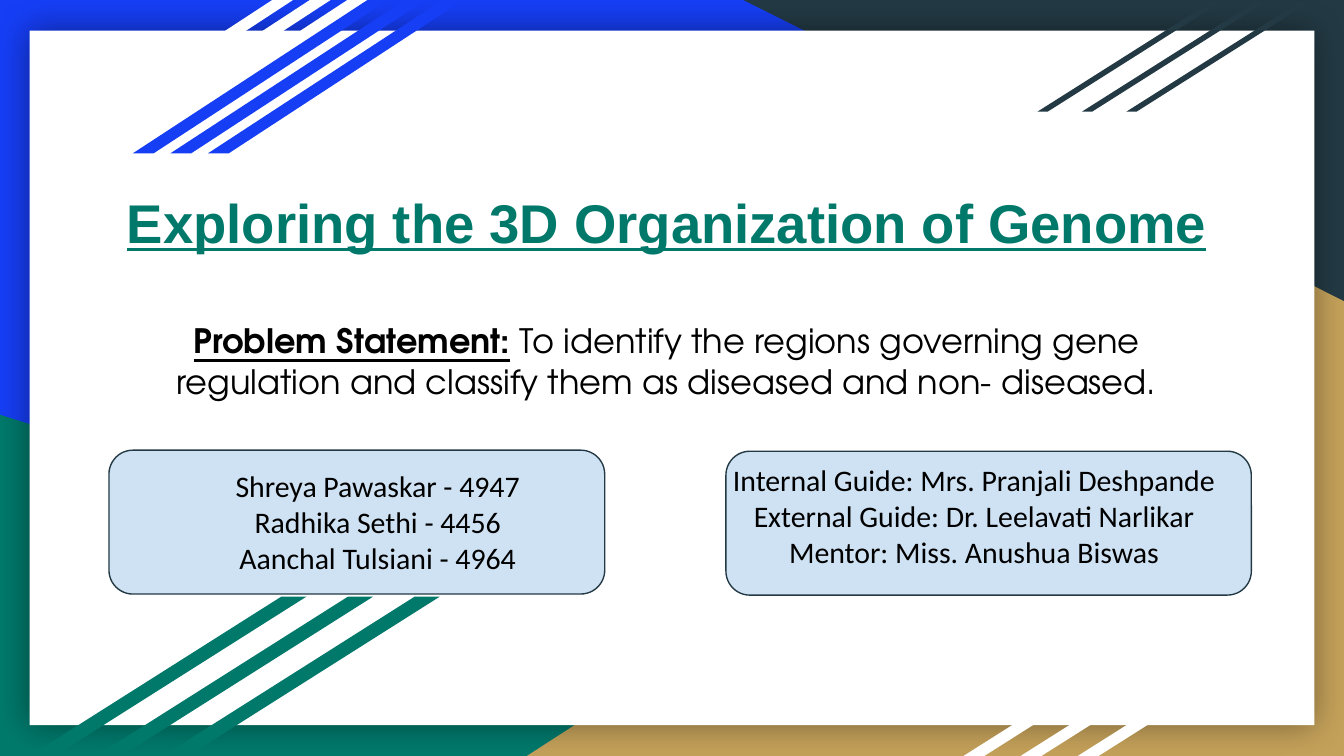
from lxml.etree import fromstring
from pptx import Presentation
from pptx.dml.color import RGBColor
from pptx.enum.shapes import MSO_SHAPE
from pptx.enum.text import MSO_ANCHOR, MSO_AUTO_SIZE, PP_ALIGN
from pptx.util import Cm, Pt

BLUE = RGBColor(0x16, 0x3E, 0xF5)
GREEN = RGBColor(0x00, 0x79, 0x6B)
GOLD = RGBColor(0xC4, 0xA1, 0x5A)
DARK = RGBColor(0x23, 0x3A, 0x44)
PALE = RGBColor(0xCF, 0xE2, 0xF3)
WHITE = RGBColor(0xFF, 0xFF, 0xFF)
BLACK = RGBColor(0x00, 0x00, 0x00)

PANEL_SHADOW = (
    '<a:effectLst xmlns:a="http://schemas.openxmlformats.org/drawingml/2006/main">'
    '<a:outerShdw blurRad="228600" dist="0" dir="0" algn="ctr" rotWithShape="0">'
    '<a:srgbClr val="000000"><a:alpha val="40000"/></a:srgbClr>'
    '</a:outerShdw></a:effectLst>'
)

prs = Presentation()
prs.slide_width, prs.slide_height = Cm(25.4), Cm(14.29)
s = prs.slides.add_slide(prs.slide_layouts[5])
s.background.fill.solid()
s.background.fill.fore_color.rgb = BLUE


def add_filled(kind, box, color):
    sp = s.shapes.add_shape(kind, *map(Cm, box))
    sp.shadow.inherit = False
    sp.fill.solid()
    sp.fill.fore_color.rgb = color
    sp.line.fill.background()
    return sp


def write(sp, box, anchor, paragraphs, fmt, color):
    """Place sp and fill it; each paragraph is a list of (text, emphasised) runs."""
    sp.left, sp.top, sp.width, sp.height = map(Cm, box)
    tf = sp.text_frame
    frame = {"word_wrap": True, "auto_size": MSO_AUTO_SIZE.NONE, "vertical_anchor": anchor}
    for side in ("left", "top", "right", "bottom"):
        frame[f"margin_{side}"] = Cm(0.25)
    for name, value in frame.items():
        setattr(tf, name, value)
    for i, runs in enumerate(paragraphs):
        p = tf.add_paragraph() if i else tf.paragraphs[0]
        p.alignment = PP_ALIGN.CENTER
        for text, emphasised in runs:
            r = p.add_run()
            r.text = text
            for name, value in {**fmt, "bold": emphasised, "underline": emphasised}.items():
                setattr(r.font, name, value)
            r.font.color.rgb = color


# Corner triangles behind the white panel
add_filled(MSO_SHAPE.RIGHT_TRIANGLE, (0, 7.84, 20.47, 6.45), GREEN)
gold = add_filled(MSO_SHAPE.RIGHT_TRIANGLE, (9.96, 4.31, 15.44, 9.98), GOLD)
gold.element.spPr.xfrm.set("flipH", "1")
dark = add_filled(MSO_SHAPE.RIGHT_TRIANGLE, (14.05, 0, 11.35, 5.69), DARK)
dark.rotation = 180

panel = add_filled(MSO_SHAPE.RECTANGLE, (0.56, 0.58, 24.28, 13.13), WHITE)
effects = panel.element.spPr.find("{*}effectLst")
effects.getparent().replace(effects, fromstring(PANEL_SHADOW))

# Triple stripes: left, top, width, height, step, slant, colour
for left, top, width, height, step, slant, color in (
    (0.71, 0, 4.83, 2.9, 0.71, 1.53, WHITE),
    (2.51, 0, 4.83, 2.9, 0.71, 1.53, BLUE),
    (19.61, 0.03, 3.48, 2.08, 0.84, 1.58, DARK),
    (18.21, 11.71, 4.47, 2.58, 1.08, 1.58, WHITE),
    (0.56, 11.28, 5.23, 3.01, 1.26, 1.58, GREEN),
):
    for i in range(3):
        stripe = add_filled(MSO_SHAPE.PARALLELOGRAM, (left + i * step, top, width, height), color)
        stripe.adjustments[0] = slant

for box in ((13.72, 8.53, 9.93, 2.72), (2.06, 8.51, 9.37, 2.72)):
    card = add_filled(MSO_SHAPE.ROUNDED_RECTANGLE, box, PALE)
    card.line.color.rgb = DARK
    card.line.width = Pt(0.75)

# Title goes in front of the decoration
title = s.shapes.title
title.element.getparent().append(title.element)
write(title, (1.83, 2.74, 21.54, 2.92), MSO_ANCHOR.MIDDLE,
      [[("Exploring the 3D Organization of Genome", True)]],
      {"name": "Arial", "size": Pt(29.2)}, GREEN)

problem = [("Problem Statement:", True),
           (" To identify the regions governing gene regulation and classify them"
            " as diseased and non- diseased.", False)]
students = ["Shreya Pawaskar - 4947", "Radhika Sethi - 4456", "Aanchal Tulsiani - 4964"]
guides = ["Internal Guide: Mrs. Pranjali Deshpande",
          "External Guide: Dr. Leelavati Narlikar",
          "Mentor: Miss. Anushua Biswas"]
statement_font = {"name": "TeX Gyre Adventor", "size": Pt(18)}
people_font = {"name": "Calibri", "size": Pt(16)}
for box, anchor, paragraphs, fmt in (
    ((2.06, 8.59, 10.16, 2.72), MSO_ANCHOR.TOP, [[(n, False)] for n in students], people_font),
    ((1.83, 5.66, 21.54, 2.31), MSO_ANCHOR.MIDDLE, [problem], statement_font),
    ((13.18, 8.48, 10.46, 2.72), MSO_ANCHOR.TOP, [[(n, False)] for n in guides], people_font),
):
    write(s.shapes.add_textbox(*map(Cm, box)), box, anchor, paragraphs, fmt, BLACK)

prs.save("out.pptx")
